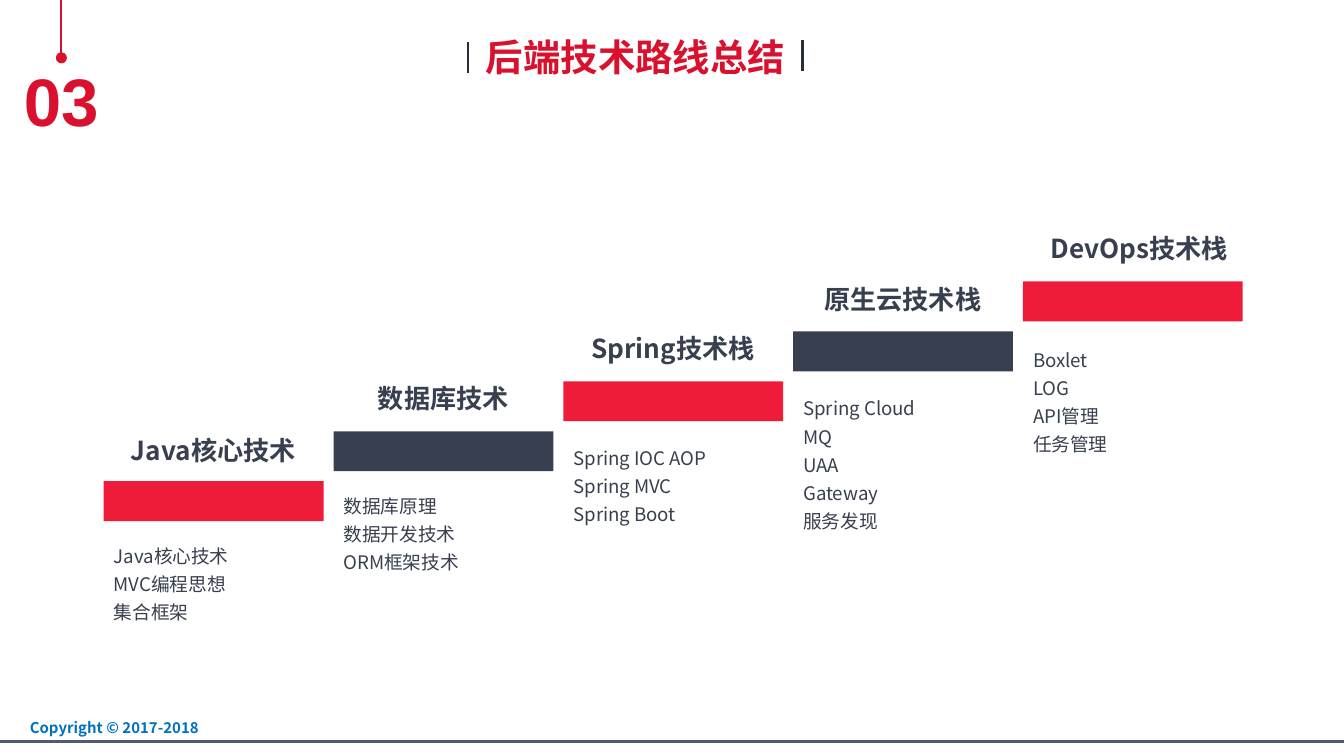
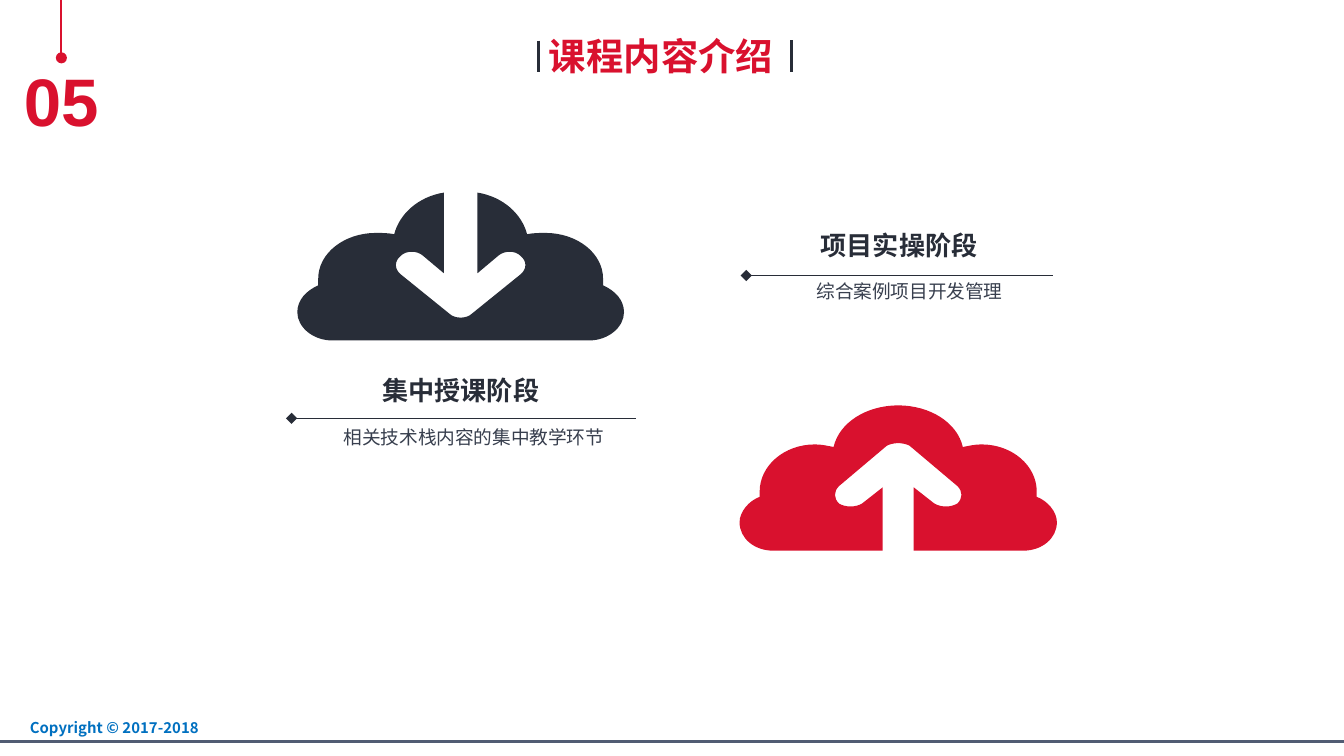
"""Builds two course slides: a rising technology path and the two teaching stages."""
from lxml import etree
from pptx import Presentation
from pptx.dml.color import RGBColor
from pptx.enum.shapes import MSO_CONNECTOR, MSO_SHAPE
from pptx.enum.text import MSO_ANCHOR, MSO_AUTO_SIZE, PP_ALIGN
from pptx.oxml.ns import qn
from pptx.util import Pt

LEFT, CENTER, RIGHT = PP_ALIGN.LEFT, PP_ALIGN.CENTER, PP_ALIGN.RIGHT
TOP, MIDDLE = MSO_ANCHOR.TOP, MSO_ANCHOR.MIDDLE
GROW, FIXED = MSO_AUTO_SIZE.SHAPE_TO_FIT_TEXT, MSO_AUTO_SIZE.NONE
STRAIGHT, RECTANGLE = MSO_CONNECTOR.STRAIGHT, MSO_SHAPE.RECTANGLE
CJK, LATIN = "Noto Sans CJK SC", "Arial"
COLORS = {"red": "D9112E", "bright": "EE1C39", "slate": "383F4E",
          "dark": "282D38", "rule": "515C73", "blue": "0070C0"}


def add_text(slide, box, lines, size, color, bold=False, align=LEFT, spacing=None,
             anchor=TOP, fit=GROW, wrap=True, font=CJK, margins=(5.4, 2.7), before=None):
    frame = slide.shapes.add_textbox(*[Pt(v) for v in box]).text_frame
    frame.word_wrap, frame.auto_size, frame.vertical_anchor = wrap, fit, anchor
    frame.margin_left = frame.margin_right = Pt(margins[0])
    frame.margin_top = frame.margin_bottom = Pt(margins[1])
    frame.text = "\n".join(lines)
    for paragraph in frame.paragraphs:
        paragraph.alignment = align
        paragraph.line_spacing = spacing
        paragraph.space_before = before
        for run in paragraph.runs:
            run.font.size, run.font.bold, run.font.name = Pt(size), bold, font
            run.font.color.rgb = RGBColor.from_string(COLORS[color])
            etree.SubElement(run._r.get_or_add_rPr(), qn("a:ea"), typeface=font)


def add_line(slide, start, end, color, width, head=None):
    line = slide.shapes.add_connector(STRAIGHT, *[Pt(v) for v in (*start, *end)])
    line.line.color.rgb = RGBColor.from_string(COLORS[color])
    line.line.width = Pt(width)
    if head:
        etree.SubElement(line.line._get_or_add_ln(), qn("a:headEnd"), type=head)
    etree.SubElement(line._element.spPr, qn("a:effectLst"))


prs = Presentation()
prs.slide_width, prs.slide_height = Pt(720), Pt(405)

pages = [
    ("03", "后端技术路线总结", (254.9, 15.6, 180.7, 29.5), ((250.7, 22.7), (429.8, 21.6)), 16.6),
    ("05", "课程内容介绍", (288.7, 15.1, 141.8, 29.5), ((288.6, 21.8), (424.1, 21.6)), 17),
]
slides = []
for number, title, title_box, ticks, tick_height in pages:
    slide = prs.slides.add_slide(prs.slide_layouts[6])
    slides.append(slide)
    add_line(slide, (-1.4, 397.4), (720, 397.4), "rule", 1.5)
    add_text(slide, (4.8, 382.3, 107.3, 15.1), ["Copyright © 2017-2018"], 8, "blue",
             bold=True, align=RIGHT, wrap=False)
    add_text(slide, (12.6, 31.4, 40.3, 43.9), [number], 36, "red", bold=True, align=CENTER,
             anchor=MIDDLE, wrap=False, font=LATIN, margins=(0, 0), before=Pt(7.2))
    add_line(slide, (32.9, 31), (32.9, 0), "red", 1, "oval")
    add_text(slide, title_box, [title], 20, "red", bold=True)
    for x, y in ticks:
        add_line(slide, (x, y), (x, y + tick_height), "dark", 1.5)
path_slide, stage_slide = slides

steps = [
    ("Java核心技术", 103.7, 32.2, 28.5, ["Java核心技术", "MVC编程思想", "集合框架"]),
    ("数据库技术", 103.7, 33, 28.5, ["数据库原理", "数据开发技术", "ORM框架技术"]),
    ("Spring技术栈", 103.7, 33, 29.2, ["Spring IOC AOP", "Spring MVC", "Spring Boot"]),
    ("原生云技术栈", 103.7, 32.7, 29.6, ["Spring Cloud", "MQ", "UAA", "Gateway", "服务发现"]),
    ("DevOps技术栈", 110.9, 33, 30.4, ["Boxlet", "LOG", "API管理", "任务管理"]),
]
for i, (heading, heading_width, heading_rise, topics_drop, topics) in enumerate(steps):
    x, y = 55.6 + 123.1 * i, 257.8 - 26.75 * i
    bar = path_slide.shapes.add_shape(RECTANGLE, Pt(x), Pt(y), Pt(117.8), Pt(21.4))
    bar.shadow.inherit = False
    bar.fill.solid()
    bar.fill.fore_color.rgb = RGBColor.from_string(COLORS["slate" if i % 2 else "bright"])
    bar.line.fill.background()
    add_text(path_slide, (x + 7, y - heading_rise, heading_width, 25), [heading], 14, "slate",
             bold=True, align=CENTER, spacing=1.25)
    add_text(path_slide, (x, y + topics_drop, 118, 5.2 + 15.1 * len(topics)), topics, 10,
             "slate", spacing=1.25)

upload_half = [
    (0, 0), (17.3, 0, 31.7, 9.4, 34.6, 22.3), (38.2, 21.6, 41, 20.9, 44.6, 20.9),
    (61.2, 20.9, 74.2, 32.4, 74.2, 46.1), (74.2, 46.1, 74.2, 47.5, 74.2, 49),
    (79.9, 51.1, 85, 56.9, 85, 62.6), (85, 71.3, 77, 77.8, 67, 77.8),
    (8.3, 77.8), (8.3, 43.9), (19.4, 52.6), (23, 54.7, 28.1, 54.7, 31.7, 52.6),
    (34.6, 49.7, 34.6, 46.1, 31.7, 43.2), (6.1, 21.6), (5, 20.9, 2.2, 20.2, 0, 20.2),
]
download_half = [
    (0, 67), (2.5, 67, 4.7, 66.2, 6.1, 64.8), (32, 43.9),
    (35.6, 41, 35.6, 36.7, 32, 33.8), (29.2, 31, 23.4, 31, 20.2, 33.8),
    (9, 43.2), (9, 0), (22.7, 2.2, 32.8, 11.5, 35.6, 22.3),
    (39.2, 21.6, 42.1, 21.6, 45.4, 21.6), (62.3, 21.6, 76.3, 32.4, 76.3, 46.1),
    (76.3, 47.5, 76.3, 49, 76.3, 49.7), (82.8, 52.6, 87.5, 57.6, 87.5, 64.1),
    (87.5, 72, 79.2, 79.2, 68.8, 79.2), (0, 79.2),
]
clouds = [(upload_half, 481.2, 217.2, "red"), (download_half, 246.8, 103.2, "dark")]
for half, center, top, color in clouds:
    segments = [list(zip(s[::2], s[1::2])) for s in half]
    outline = list(segments)
    for before, segment in reversed(list(zip(segments, segments[1:]))):
        outline.append([(-x, y) for x, y in [*segment[-2::-1], before[-1]]])
    outline = [[(Pt(center + x), Pt(top + y)) for x, y in s] for s in outline]
    builder = stage_slide.shapes.build_freeform(*outline[0][0])
    builder.add_line_segments([s[-1] for s in outline[1:]], close=True)
    cloud = builder.convert_to_shape()
    edges = list(cloud._element.iter(qn("a:lnTo")))
    for edge, segment in zip(edges, outline[1:]):
        if len(segment) == 3:
            edge.tag = qn("a:cubicBezTo")
            for n, (x, y) in enumerate(segment[:2]):
                control = etree.Element(qn("a:pt"), x=str(x - cloud.left), y=str(y - cloud.top))
                edge.insert(n, control)
    cloud.shadow.inherit = False
    cloud.fill.solid()
    cloud.fill.fore_color.rgb = RGBColor.from_string(COLORS[color])
    cloud.line.fill.background()

stages = [
    ("集中授课阶段", (195.8, 193), "相关技术栈内容的集中教学环节", (178.2, 225.3, 151.2),
     (156.2, 340.6, 224.1)),
    ("项目实操阶段", (430.6, 115.2), "综合案例项目开发管理", (430.3, 147.1, 113.8),
     (399.8, 564, 147.6)),
]
for heading, (x, y), detail, (detail_x, detail_y, detail_width), (start, end, level) in stages:
    add_line(stage_slide, (start, level), (end, level), "dark", 0.5, "diamond")
    add_text(stage_slide, (x, y, 102.2, 32.4), [heading], 14, "dark", bold=True,
             align=CENTER, anchor=MIDDLE, fit=FIXED)
    add_text(stage_slide, (detail_x, detail_y, detail_width, 17.3), [detail], 10, "slate",
             align=CENTER)

prs.save("out.pptx")
